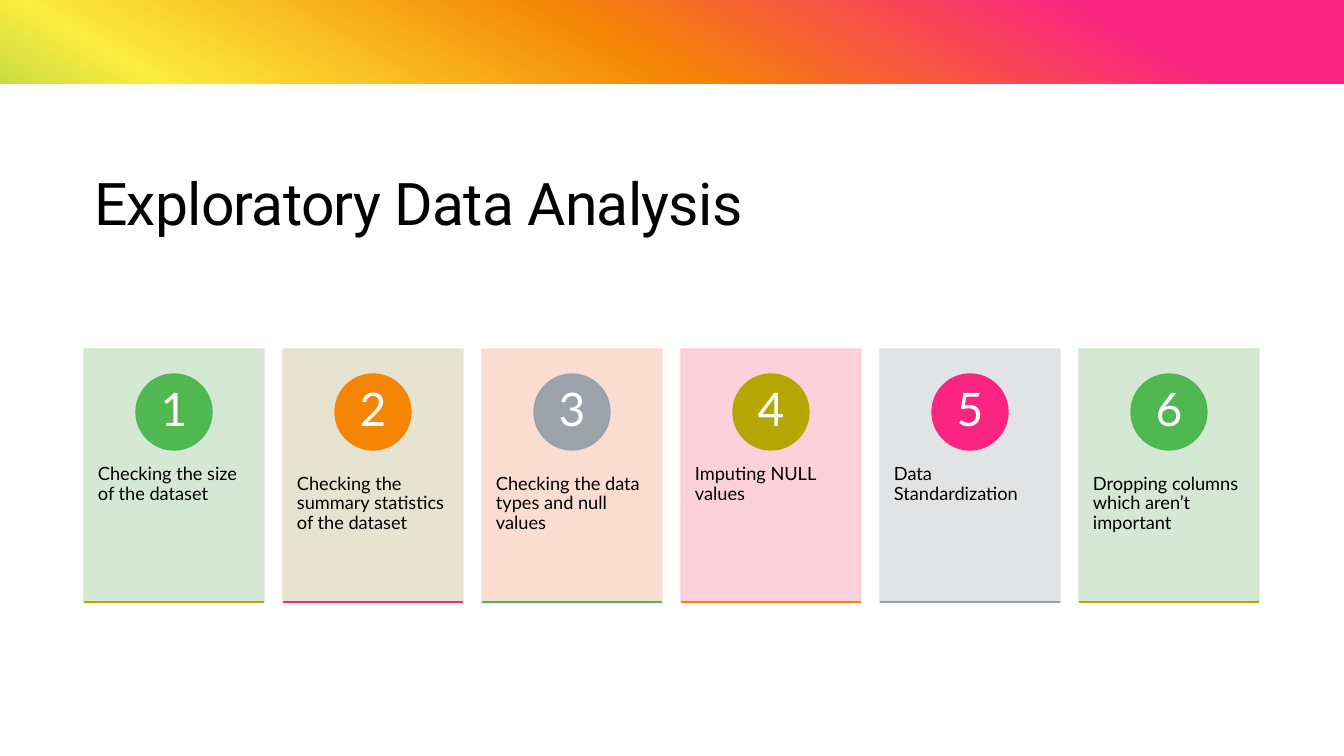
"""Build the Exploratory Data Analysis slide with its six numbered step cards."""
from copy import deepcopy
from dataclasses import dataclass

from lxml import etree
from pptx import Presentation, util as u
from pptx.dml import color, fill as dml_fill
from pptx.enum import shapes, text
from pptx.oxml import ns
from pptx.shapes import autoshape, shapetree

RGB = color.RGBColor
WHITE, BLACK = RGB(0xFF, 0xFF, 0xFF), RGB(0, 0, 0)
GREEN, ORANGE, GREY = RGB(0x51, 0xB8, 0x51), RGB(0xF5, 0x85, 0x05), RGB(0x9C, 0xA2, 0xAB)
OLIVE, PINK = RGB(0xB5, 0xA6, 0x03), RGB(0xFA, 0x24, 0x81)
YELLOW, TEAL = RGB(0xFC, 0xEC, 0x3F), RGB(0x42, 0xB3, 0xBD)
PALE_GREEN, PALE_OLIVE = RGB(0xD0, 0xE6, 0xD0), RGB(0xE5, 0xE1, 0xCC)
PALE_ORANGE, PALE_PINK = RGB(0xFB, 0xD9, 0xCC), RGB(0xFD, 0xCD, 0xD8)
PALE_GREY = RGB(0xDE, 0xE0, 0xE2)
RAINBOW = ((10, PINK), (30, ORANGE), (50, YELLOW), (70, GREEN), (90, TEAL))

SLIDE_W, SLIDE_H, BAND_H = 1344, 756, 84
MARGIN, PITCH = 84, 199
CARD_TOP, CARD_W, CARD_H = 349, 180, 253
LABEL_TOP, LABEL_H = 445, 152
BADGE_TOP, BADGE, NUMERAL = 374, 76, 54

Box = tuple[int, int, int, int]


@dataclass(frozen=True)
class Step:
    label: str
    tint: RGB
    badge: RGB
    rule: RGB


STEPS = (
    Step("Checking the size of the dataset", PALE_GREEN, GREEN, OLIVE),
    Step("Checking the summary statistics of the dataset", PALE_OLIVE, ORANGE, PINK),
    Step("Checking the data types and null values", PALE_ORANGE, GREY, GREEN),
    Step("Imputing NULL values", PALE_PINK, OLIVE, ORANGE),
    Step("Data Standardization", PALE_GREY, PINK, GREY),
    Step("Dropping columns which aren’t important", PALE_GREEN, GREEN, OLIVE),
)


def px(length: int) -> u.Emu:
    return u.Emu(round(length * u.Inches(1) / 100.8))


def paint(target: dml_fill.FillFormat, rgb: RGB) -> None:
    target.solid()
    target.fore_color.rgb = rgb


def add_block(parent: shapetree.SlideShapes, box: Box, rgb: RGB, *,
              kind: shapes.MSO_SHAPE = shapes.MSO_SHAPE.RECTANGLE,
              outlined: bool = False, opacity: int = 100) -> autoshape.Shape:
    block = parent.add_shape(kind, *map(px, box))
    block.shadow.inherit = False
    paint(block.fill, rgb)
    if outlined:
        paint(block.line.fill, rgb)
        block.line.width = u.Pt(1)
    else:
        block.line.fill.background()
    if opacity < 100:
        for tone in block._element.spPr.iter(ns.qn("a:srgbClr")):
            etree.SubElement(tone, ns.qn("a:alpha"), val=str(opacity * 1000))
    return block


def add_text(parent: shapetree.SlideShapes, box: Box, words: str, *, size: int,
             font: str = "Lato", rgb: RGB = BLACK, insets: tuple[int, int] = (10, 5),
             align: text.PP_ALIGN = text.PP_ALIGN.LEFT,
             anchor: text.MSO_ANCHOR = text.MSO_ANCHOR.TOP,
             leading: float = 0.9, tracking: float = 0) -> None:
    frame = parent.add_textbox(*map(px, box)).text_frame
    frame.word_wrap = True
    frame.vertical_anchor = anchor
    frame.margin_left = frame.margin_right = px(insets[0])
    frame.margin_top = frame.margin_bottom = px(insets[1])
    paragraph = frame.paragraphs[0]
    paragraph.alignment, paragraph.line_spacing = align, leading
    run = paragraph.add_run()
    run.text = words
    run.font.name, run.font.size = font, u.Pt(size)
    run.font.color.rgb = rgb
    if tracking:
        run.font._element.set("spc", str(round(tracking * 100)))


def add_rule(parent: shapetree.SlideShapes, left: int, top: int, width: int,
             rgb: RGB) -> None:
    rule = parent.add_connector(shapes.MSO_CONNECTOR.STRAIGHT,
                                *map(px, (left, top, left + width, top)))
    paint(rule.line.fill, rgb)
    rule.line.width = u.Pt(1)
    etree.SubElement(rule._element.spPr, ns.qn("a:effectLst"))


def add_rainbow(parent: shapetree.SlideShapes) -> None:
    rainbow = add_block(parent, (0, 0, SLIDE_W, SLIDE_H), PINK)
    rainbow.fill.gradient()
    rainbow.fill.gradient_angle = 240
    stops = rainbow._element.spPr.find(".//" + ns.qn("a:gsLst"))
    template = deepcopy(stops[0])
    stops[:] = [deepcopy(template) for _ in RAINBOW]
    for stop, (percent, rgb) in zip(rainbow.fill.gradient_stops, RAINBOW):
        stop.position = percent / 100
        stop.color.rgb = rgb


def add_card(parent: shapetree.SlideShapes, index: int, step: Step) -> None:
    left = MARGIN + index * PITCH
    badge_left = left + (CARD_W - BADGE) // 2
    pad = (BADGE - NUMERAL) // 2
    add_block(parent, (left, CARD_TOP, CARD_W, CARD_H), step.tint,
              outlined=True, opacity=90)
    add_text(parent, (left, LABEL_TOP, CARD_W, LABEL_H), step.label,
             size=13, insets=(14, 36))
    add_block(parent, (badge_left, BADGE_TOP, BADGE, BADGE), step.badge,
              kind=shapes.MSO_SHAPE.OVAL, outlined=True)
    add_text(parent, (badge_left + pad, BADGE_TOP + pad, NUMERAL, NUMERAL),
             str(index + 1), size=33, rgb=WHITE, insets=(6, 1),
             align=text.PP_ALIGN.CENTER, anchor=text.MSO_ANCHOR.MIDDLE)
    add_rule(parent, left, CARD_TOP + CARD_H, CARD_W, step.rule)


def main() -> None:
    deck = Presentation()
    deck.slide_width, deck.slide_height = px(SLIDE_W), px(SLIDE_H)
    slide = deck.slides.add_slide(deck.slide_layouts[6])
    add_rainbow(slide.shapes)
    add_block(slide.shapes, (0, BAND_H, SLIDE_W, SLIDE_H - BAND_H), WHITE)
    add_text(slide.shapes, (MARGIN, 167, 1176, 148), "Exploratory Data Analysis",
             size=42, font="Roboto", leading=0.95, tracking=-0.5)
    cards = slide.shapes.add_group_shape().shapes
    for index, step in enumerate(STEPS):
        add_card(cards, index, step)
    deck.save("out.pptx")


main()
